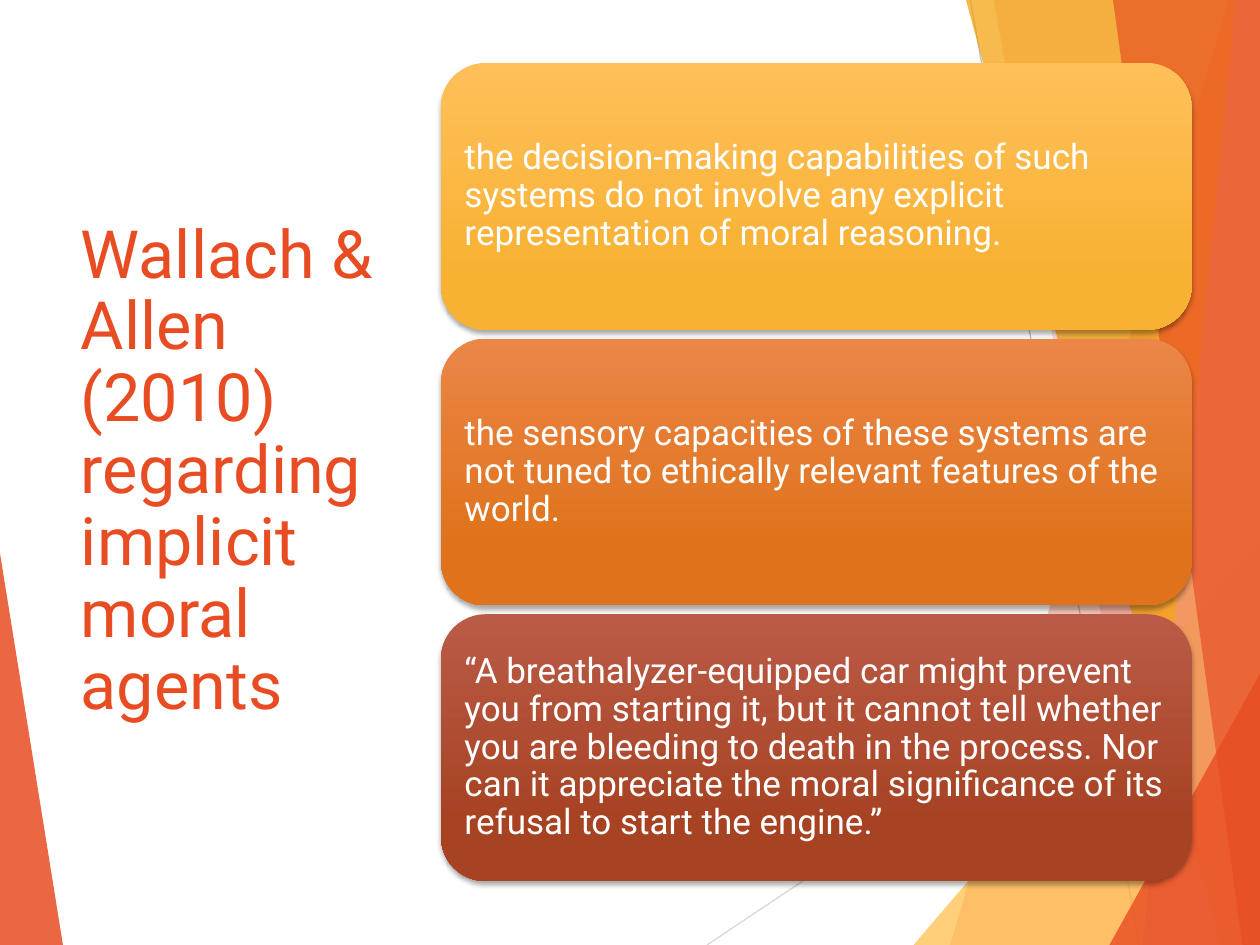
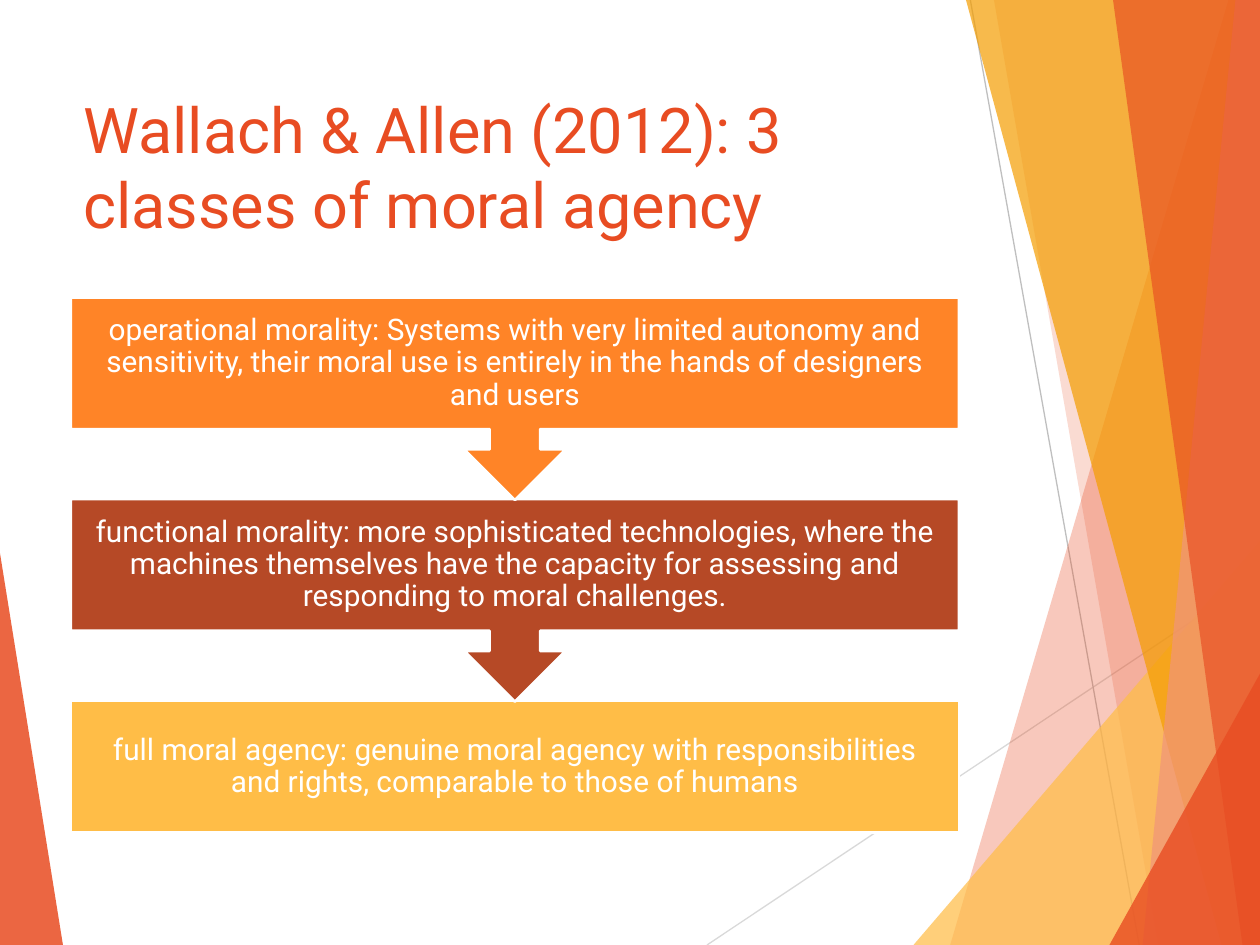
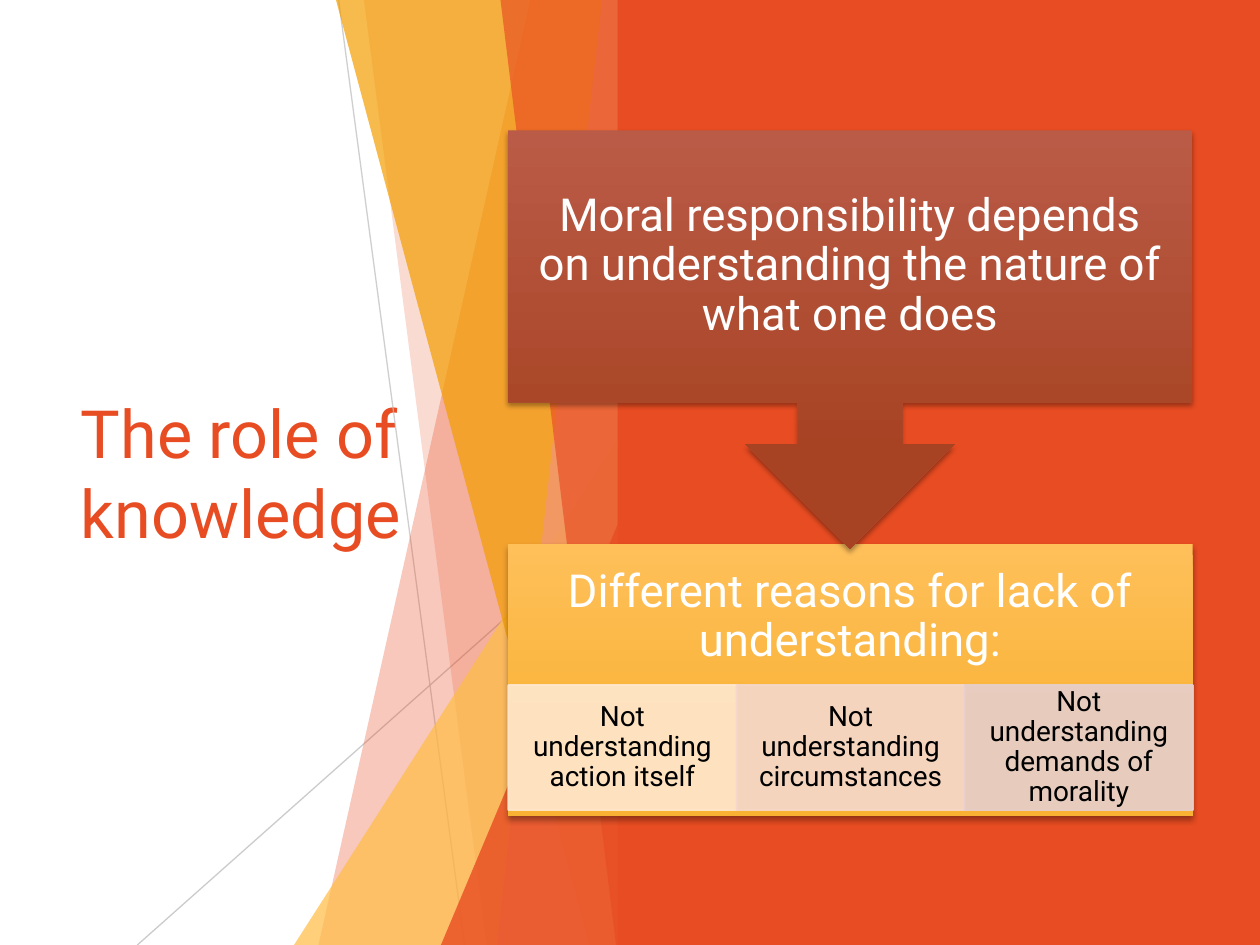
from lxml import etree
from pptx import Presentation
from pptx.dml.color import RGBColor
from pptx.enum.shapes import MSO_CONNECTOR, MSO_SHAPE
from pptx.enum.text import MSO_ANCHOR, MSO_AUTO_SIZE, PP_ALIGN
from pptx.oxml.ns import qn
from pptx.util import Pt

LEFT, MID = PP_ALIGN.LEFT, PP_ALIGN.CENTER
TOP, HALF = MSO_ANCHOR.TOP, MSO_ANCHOR.MIDDLE
NO_FIT = MSO_AUTO_SIZE.NONE
RECT = MSO_SHAPE.RECTANGLE
ROUND = MSO_SHAPE.ROUNDED_RECTANGLE
CALL = MSO_SHAPE.DOWN_ARROW_CALLOUT
LINE = MSO_CONNECTOR.STRAIGHT

FONT = "Roboto"
WIDE, HIGH = 720, 540
RED, GOLD, AMBER, PEACH = "E84C22", "FFBD47", "F49D00", "F1947A"
RUST, FLAME = "B64926", "FF8427"
WHITE, BLACK, GREY, PALE = "FFFFFF", "000000", "BFBFBF", "D9D9D9"
SUN, CLAY, BRICK = ("FFC05A", "F8B133"), ("EB8647", "DF721B"), ("BA5B47", "A74323")


def paint(fill, tint, host=None, alpha=100):
    if isinstance(tint, tuple):
        fill.gradient()
        fill.gradient_angle = 270
        for stop, shade, place in zip(fill.gradient_stops, tint, (0, 0.78)):
            stop.color.rgb = RGBColor.from_string(shade)
            stop.position = place
    else:
        fill.solid()
        fill.fore_color.rgb = RGBColor.from_string(tint)
    if alpha < 100:
        for node in host.element.iter(qn("a:srgbClr")):
            if node.find(qn("a:alpha")) is None:
                etree.SubElement(node, qn("a:alpha"), val=str(alpha * 1000))


def write(shape, words, size=20, tint=WHITE, align=MID, anchor=HALF,
          gaps=(7.2, 3.6, 7.2, 3.6), space=0.9):
    frame = shape.text_frame
    frame.word_wrap = True
    frame.auto_size = NO_FIT
    frame.vertical_anchor = anchor
    frame.margin_left, frame.margin_top, frame.margin_right, frame.margin_bottom = map(Pt, gaps)
    para = frame.paragraphs[0]
    para.alignment = align
    para.line_spacing = space
    run = para.add_run()
    run.text = words
    run.font.name = FONT
    run.font.size = Pt(size)
    paint(run.font.fill, tint)


deck = Presentation()
deck.slide_width, deck.slide_height = Pt(WIDE), Pt(HIGH)
layout = deck.slide_layouts[5]
for holder in list(layout.placeholders):
    if holder.placeholder_format.idx:
        holder.element.getparent().remove(holder.element)

side = (39, 108.5, 209.5, 322.5)
heads = [
    ("Wallach & Allen (2010) regarding implicit moral agents", side, 38, HALF, 0.9),
    ("Wallach & Allen (2012): 3 classes of moral agency", (40.5, 48, 507.5, 103.5), 36, TOP, 1),
    ("The role of knowledge", side, 38, HALF, 1),
]
pages = []
for words, box, size, anchor, space in heads:
    page = deck.slides.add_slide(layout)
    title = page.shapes.title
    title.left, title.top, title.width, title.height = map(Pt, box)
    write(title, words, size=size, tint=RED, align=LEFT, anchor=anchor, space=space)
    pages.append(page)
first, second, third = pages

sheet = third.shapes.add_shape(RECT, 0, 0, Pt(WIDE), Pt(HIGH))
sheet.shadow.inherit = False
sheet.line.fill.background()
paint(sheet.fill, WHITE)
third.shapes.element.append(third.shapes.title.element)

decor = [
    (first, 0, [], [(RED, 85, (35.5, HIGH), (0, 316))]),
    (first, WIDE, [
        (PALE, 100, 404, HIGH, WIDE, 329),
        (GREY, 100, 554.5, 0, 651, HIGH),
    ], [
        (RED, 30, (702, 0), (543, HIGH)),
        (RED, 20, (567.5, 0), (661.5, HIGH)),
        (GOLD, 72, (522.5, HIGH), (WIDE, 309)),
        (AMBER, 70, (552, 0), (698.5, HIGH)),
        (PEACH, 70, (706.5, 0), (653, HIGH)),
        (RED, 65, (636, 0), (710, HIGH)),
        (RED, 80, (634.5, HIGH), (WIDE, 385)),
    ]),
    (third, 360, [
        (GREY, 75, 193.5, 0, 265.5, HIGH),
        (GREY, 80, 360, 290, 78.5, HIGH),
    ], [
        (RED, 30, (303, 0), (182, HIGH)),
        (RED, 20, (207.5, 0), (278.5, HIGH)),
        (GOLD, 72, (168, HIGH), (360, 240)),
        (AMBER, 70, (191.5, 0), (337, HIGH)),
        (PEACH, 70, (344, 0), (283.5, HIGH)),
        (RED, 65, (286, 0), (351.5, HIGH)),
        (RED, 80, (252.5, HIGH), (360, 283)),
    ]),
]
for page, edge, lines, bands in decor:
    for tint, alpha, *ends in lines:
        line = page.shapes.add_connector(LINE, *map(Pt, ends))
        line.line.width = Pt(0.75)
        paint(line.line.fill, tint, line, alpha)
        etree.SubElement(line.element.spPr, qn("a:effectLst"))
    for tint, alpha, start, foot in bands:
        path = page.shapes.build_freeform(*start, scale=Pt(1))
        ends = [foot, (edge, HIGH)]
        if start[1] == 0:
            ends.append((edge, 0))
        path.add_line_segments(ends, close=True)
        band = path.convert_to_shape()
        band.shadow.inherit = False
        band.line.fill.background()
        paint(band.fill, tint, band, alpha)

for shape in list(first.shapes):
    if not shape.is_placeholder:
        layout.shapes.element.append(shape.element)

cards = []
points = [
    (SUN, "the decision-making capabilities of such systems do not involve any explicit representation of moral reasoning."),
    (CLAY, "the sensory capacities of these systems are not tuned to ethically relevant features of the world."),
    (BRICK, "“A breathalyzer-equipped car might prevent you from starting it, but it cannot tell whether you are bleeding to death in the process. Nor can it appreciate the moral significance of its refusal to start the engine.”"),
]
for row, (tint, words) in enumerate(points):
    cards.append((first, ROUND, (252, 36 + 157.5 * row, 429, 152.5), tint, None, 100, words,
                  dict(align=LEFT, gaps=(6, 6, 6, 6))))

steps = [
    (CALL, 115.75, FLAME, "operational morality: Systems with very limited autonomy and sensitivity, their moral use is entirely in the hands of designers and users"),
    (CALL, 115.75, RUST, "functional morality: more sophisticated technologies, where the machines themselves have the capacity for assessing and responding to moral challenges."),
    (RECT, 75.5, GOLD, "full moral agency: genuine moral agency with responsibilities and rights, comparable to those of humans"),
]
for row, (kind, tall, tint, words) in reversed(list(enumerate(steps))):
    cards.append((second, kind, (40.5, 170 + 115.2 * row, 507.5, tall), tint, (WHITE, 1.5), 100,
                  words, dict(size=17, gaps=(9.5,) * 4)))

cards.append((third, RECT, (353, 0, 367, HIGH), RED, None, 100, "", {}))
cards.append((third, RECT, (290, 311, 391.5, 155.5), SUN, None, 100,
              "Different reasons for lack of understanding:",
              dict(size=26, gaps=(14.4, 14.4, 14.4, 86.4))))
causes = [
    ("FFE8CF", "Not understanding action itself"),
    ("F5D8CC", "Not understanding circumstances"),
    ("E6CFCD", "Not understanding demands of morality"),
]
for col, (tint, words) in enumerate(causes):
    cards.append((third, RECT, (290.5 + 130.4 * col, 391.5, 130.4, 71.5), tint, (tint, 1), 90,
                  words, dict(size=16, tint=BLACK, gaps=(8.8, 1.4, 8.8, 1.4))))
cards.append((third, CALL, (290, 74.5, 391.5, 239), BRICK, None, 100,
              "Moral responsibility depends on understanding the nature of what one does",
              dict(size=26, gaps=(14.4,) * 4)))

for page, kind, box, tint, rim, alpha, words, look in cards:
    card = page.shapes.add_shape(kind, *map(Pt, box))
    card.shadow.inherit = False
    if rim:
        paint(card.line.fill, rim[0])
        card.line.width = Pt(rim[1])
    else:
        card.line.fill.background()
    paint(card.fill, tint, card, alpha)
    if isinstance(tint, tuple):
        glow = etree.SubElement(card.element.spPr.find(qn("a:effectLst")), qn("a:outerShdw"),
                                blurRad=str(Pt(3)), dist=str(Pt(2)), dir="5400000", rotWithShape="0")
        shade = etree.SubElement(glow, qn("a:srgbClr"), val=BLACK)
        etree.SubElement(shade, qn("a:alpha"), val="35000")
    if words:
        write(card, words, **look)

deck.save("out.pptx")
